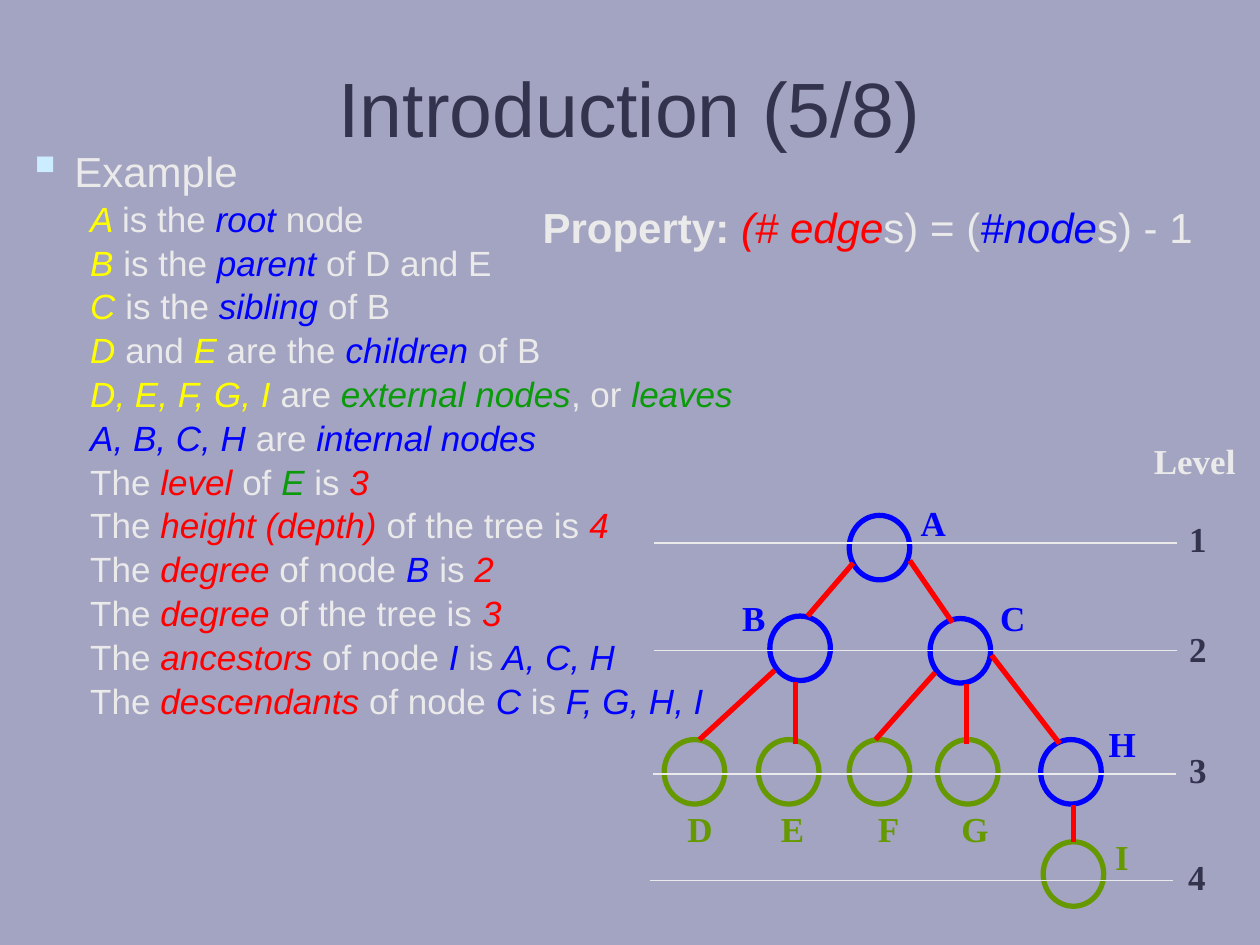
"""Build the slide that explains tree terms beside a levelled tree diagram."""
from dataclasses import dataclass
from functools import partial
from typing import NamedTuple, Sequence

from lxml import etree
from pptx import Presentation
from pptx.dml.color import RGBColor
from pptx.enum.shapes import MSO_CONNECTOR, MSO_SHAPE
from pptx.enum.text import MSO_ANCHOR, PP_ALIGN
from pptx.oxml.ns import qn
from pptx.util import Cm, Pt

OVAL = MSO_SHAPE.OVAL
STRAIGHT = MSO_CONNECTOR.STRAIGHT
TOP, MIDDLE = MSO_ANCHOR.TOP, MSO_ANCHOR.MIDDLE
LEFT, CENTER = PP_ALIGN.LEFT, PP_ALIGN.CENTER


@dataclass(frozen=True)
class Theme:
    background: str = "A3A3C2"
    dark: str = "33334D"
    light: str = "EAEAEA"
    bullet: str = "CCECFF"
    yellow: str = "FFFF00"
    blue: str = "0000FF"
    red: str = "FF0000"
    green: str = "0A9A0A"
    leaf: str = "669900"
    sans: str = "Arial"
    serif: str = "Times New Roman"
    title_size: float = 44
    heading_size: float = 24
    body_size: float = 20
    thick: float = 3
    thin: float = 0.75
    line_spacing: float = 0.8
    space_before: float = 5.8


THEME = Theme()


class Box(NamedTuple):
    left: float
    top: float
    width: float
    height: float


class Span(NamedTuple):
    text: str
    color: str = THEME.light
    italic: bool = False
    bold: bool = False


class Node(NamedTuple):
    name: str
    left: float
    top: float
    label_left: float
    label_top: float
    label_width: float
    color: str = THEME.blue


class Edge(NamedTuple):
    x1: float
    y1: float
    x2: float
    y2: float


class Level(NamedTuple):
    name: str
    line_left: float
    line_top: float
    label_left: float
    label_top: float


plain = Span
yellow, blue, red, green = (
    partial(Span, color=color, italic=True)
    for color in (THEME.yellow, THEME.blue, THEME.red, THEME.green)
)

FACTS = [
    [yellow("A "), plain("is the "), blue("root "), plain("node")],
    [yellow("B "), plain("is the "), blue("parent "), plain("of D and E")],
    [yellow("C "), plain("is the "), blue("sibling "), plain("of B")],
    [yellow("D "), plain("and "), yellow("E "), plain("are the "), blue("children "), plain("of B")],
    [yellow("D, E, F, G, I "), plain("are "), green("external nodes"), plain(", or "), green("leaves")],
    [blue("A, B, C, H "), plain("are "), blue("internal nodes")],
    [plain("The "), red("level"), plain(" of "), green("E "), plain("is "), red("3")],
    [plain("The "), red("height (depth) "), plain("of the tree is "), red("4")],
    [plain("The "), red("degree "), plain("of node "), blue("B "), plain("is "), red("2")],
    [plain("The "), red("degree "), plain("of the tree is "), red("3")],
    [plain("The "), red("ancestors "), plain("of node "), blue("I "), plain("is"), blue(" A, C, H")],
    [plain("The "), red("descendants "), plain("of node "), blue("C "), plain("is "), blue("F, G, H, I")],
]
PROPERTY = [plain("Property: ", bold=True), red("(# edge"), plain("s) = ("), blue("#node"), plain("s) - 1")]

NODE_WIDTH, NODE_HEIGHT = 1.22, 1.3
LABEL_HEIGHT = 1.12
NODES = [
    Node("A", 17.12, 10.39, 18.31, 9.98, 1.02),
    Node("B", 15.52, 12.42, 14.71, 11.91, 0.97),
    Node("C", 18.75, 12.47, 19.91, 11.91, 1.02),
    Node("D", 13.39, 14.91, 13.61, 16.15, 1.02, THEME.leaf),
    Node("E", 15.29, 14.91, 15.49, 16.15, 0.97, THEME.leaf),
    Node("F", 17.12, 14.91, 17.45, 16.15, 0.94, THEME.leaf),
    Node("G", 18.9, 14.91, 19.13, 16.15, 1.04, THEME.leaf),
    Node("H", 20.98, 14.91, 22.1, 14.45, 1.04),
    Node("I", 21.03, 16.97, 22.23, 16.71, 0.79, THEME.leaf),
]
EDGES = [
    Edge(17.2, 11.35, 16.28, 12.42),
    Edge(18.34, 11.3, 19.2, 12.55),
    Edge(15.62, 13.51, 14.1, 14.91),
    Edge(16.03, 13.74, 16.03, 14.99),
    Edge(18.85, 13.56, 17.65, 14.91),
    Edge(19.48, 13.79, 19.48, 14.99),
    Edge(19.99, 13.21, 21.36, 14.99),
    Edge(21.64, 16.23, 21.64, 16.97),
]
LEVEL_LENGTH, LEVEL_LABEL_WIDTH = 10.54, 0.86
LEVELS = [
    Level("1", 13.18, 10.95, 23.72, 10.31),
    Level("2", 13.18, 13.11, 23.72, 12.52),
    Level("3", 13.16, 15.6, 23.72, 14.96),
    Level("4", 13.11, 17.75, 23.7, 17.12),
]


def add_frame(page, box: Box, wrap: bool = False, anchor=TOP):
    frame = page.shapes.add_textbox(*map(Cm, box)).text_frame
    frame.word_wrap = wrap
    frame.vertical_anchor = anchor
    return frame


def write_spans(para, spans: Sequence[Span], size: float, font: str = THEME.sans, align=LEFT) -> None:
    para.alignment = align
    for span in spans:
        run = para.add_run()
        run.text = span.text
        run.font.name, run.font.size = font, Pt(size)
        run.font.bold, run.font.italic = span.bold, span.italic
        run.font.color.rgb = RGBColor.from_string(span.color)


def set_indent(para, margin: float, hanging: float):
    properties = para._p.get_or_add_pPr()
    properties.set("marL", str(Cm(margin)))
    properties.set("indent", str(-Cm(hanging)))
    return properties


def add_bullet(properties, symbol: str) -> None:
    color = etree.SubElement(properties, qn("a:buClr"))
    etree.SubElement(color, qn("a:srgbClr"), val=THEME.bullet)
    etree.SubElement(properties, qn("a:buSzPct"), val="115000")
    etree.SubElement(properties, qn("a:buChar"), char=symbol)


def add_facts(page) -> None:
    frame = add_frame(page, Box(0.3, 3, 22.86, 11.4), wrap=True)
    heading = frame.paragraphs[0]
    add_bullet(set_indent(heading, 0.95, 0.95), "▪")
    heading.line_spacing = THEME.line_spacing
    write_spans(heading, [plain("Example")], THEME.heading_size)
    for fact in FACTS:
        para = frame.add_paragraph()
        set_indent(para, 2.06, 0.79)
        para.line_spacing = THEME.line_spacing
        para.space_before = Pt(THEME.space_before)
        write_spans(para, fact, THEME.body_size)


def add_label(page, text: str, box: Box, color: str) -> None:
    para = add_frame(page, box).paragraphs[0]
    write_spans(para, [Span(text, color, bold=True)], THEME.body_size, THEME.serif)


def add_line(page, edge: Edge, color: str, weight: float) -> None:
    line = page.shapes.add_connector(STRAIGHT, *map(Cm, edge))
    line.line.color.rgb = RGBColor.from_string(color)
    line.line.width = Pt(weight)
    etree.SubElement(line._element.spPr, qn("a:effectLst"))


def add_node(page, node: Node) -> None:
    circle = page.shapes.add_shape(OVAL, Cm(node.left), Cm(node.top), Cm(NODE_WIDTH), Cm(NODE_HEIGHT))
    circle.shadow.inherit = False
    circle.fill.background()
    circle.line.color.rgb = RGBColor.from_string(node.color)
    circle.line.width = Pt(THEME.thick)


def add_tree(page) -> None:
    for node in NODES:
        add_node(page, node)
    for edge in EDGES:
        add_line(page, edge, THEME.red, THEME.thick)
    for node in NODES:
        add_label(page, node.name, Box(*node[3:6], LABEL_HEIGHT), node.color)
    add_label(page, "Level", Box(23.01, 8.74, 2.16, LABEL_HEIGHT), THEME.light)
    for name, left, top, label_left, label_top in LEVELS:
        add_line(page, Edge(left, top, left + LEVEL_LENGTH, top), THEME.light, THEME.thin)
        add_label(page, name, Box(label_left, label_top, LEVEL_LABEL_WIDTH, LABEL_HEIGHT), THEME.dark)


def main() -> None:
    deck = Presentation()
    deck.slide_width, deck.slide_height = Cm(25.4), Cm(19.05)
    page = deck.slides.add_slide(deck.slide_layouts[6])
    page.background.fill.solid()
    page.background.fill.fore_color.rgb = RGBColor.from_string(THEME.background)
    title = add_frame(page, Box(1.27, 0.56, 22.86, 3.18), wrap=True, anchor=MIDDLE)
    write_spans(title.paragraphs[0], [Span("Introduction (5/8)", THEME.dark)], THEME.title_size, align=CENTER)
    add_facts(page)
    add_tree(page)
    formula = add_frame(page, Box(10.69, 3.94, 13.61, 1.27))
    write_spans(formula.paragraphs[0], PROPERTY, THEME.heading_size)
    deck.save("out.pptx")


if __name__ == "__main__":
    main()
